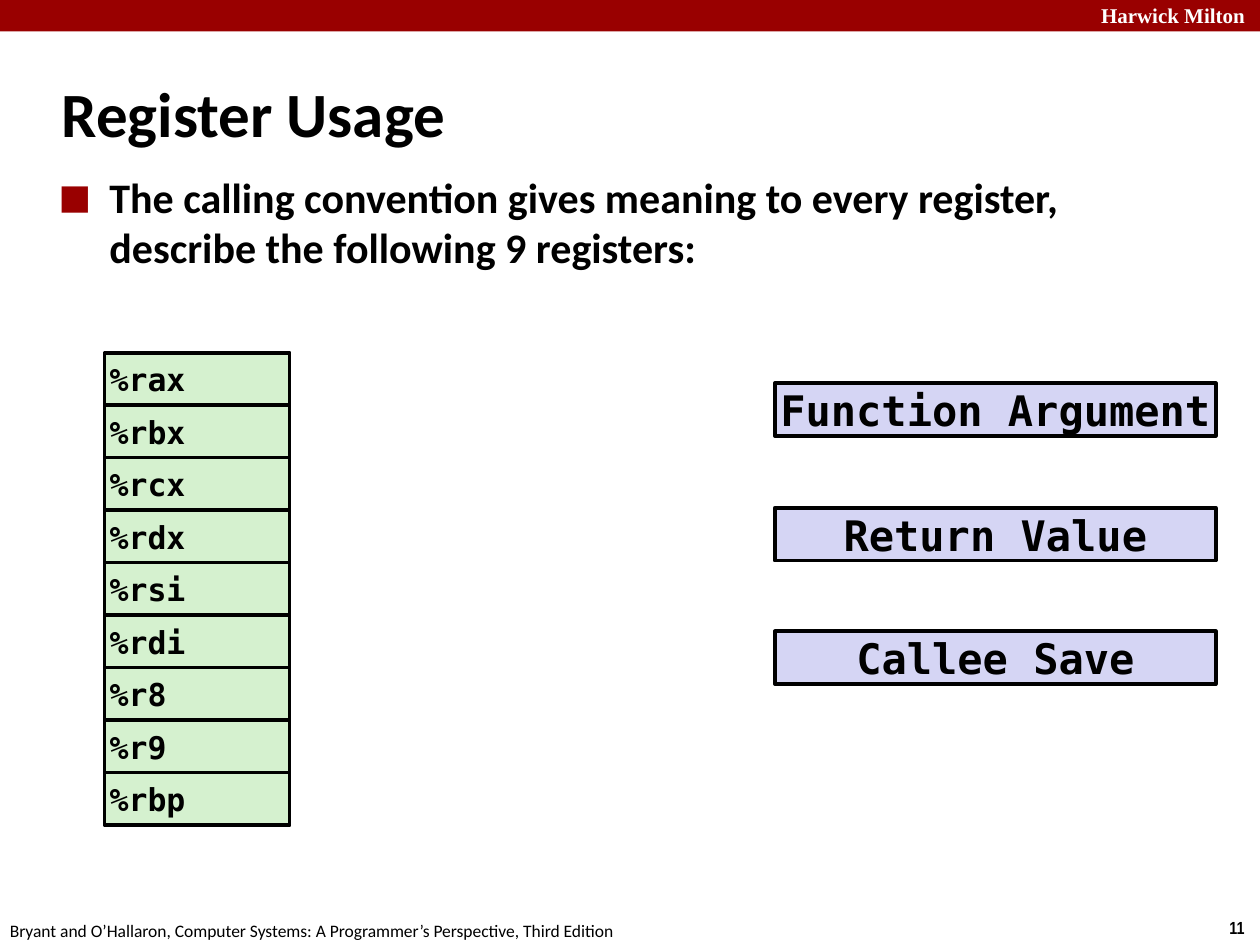
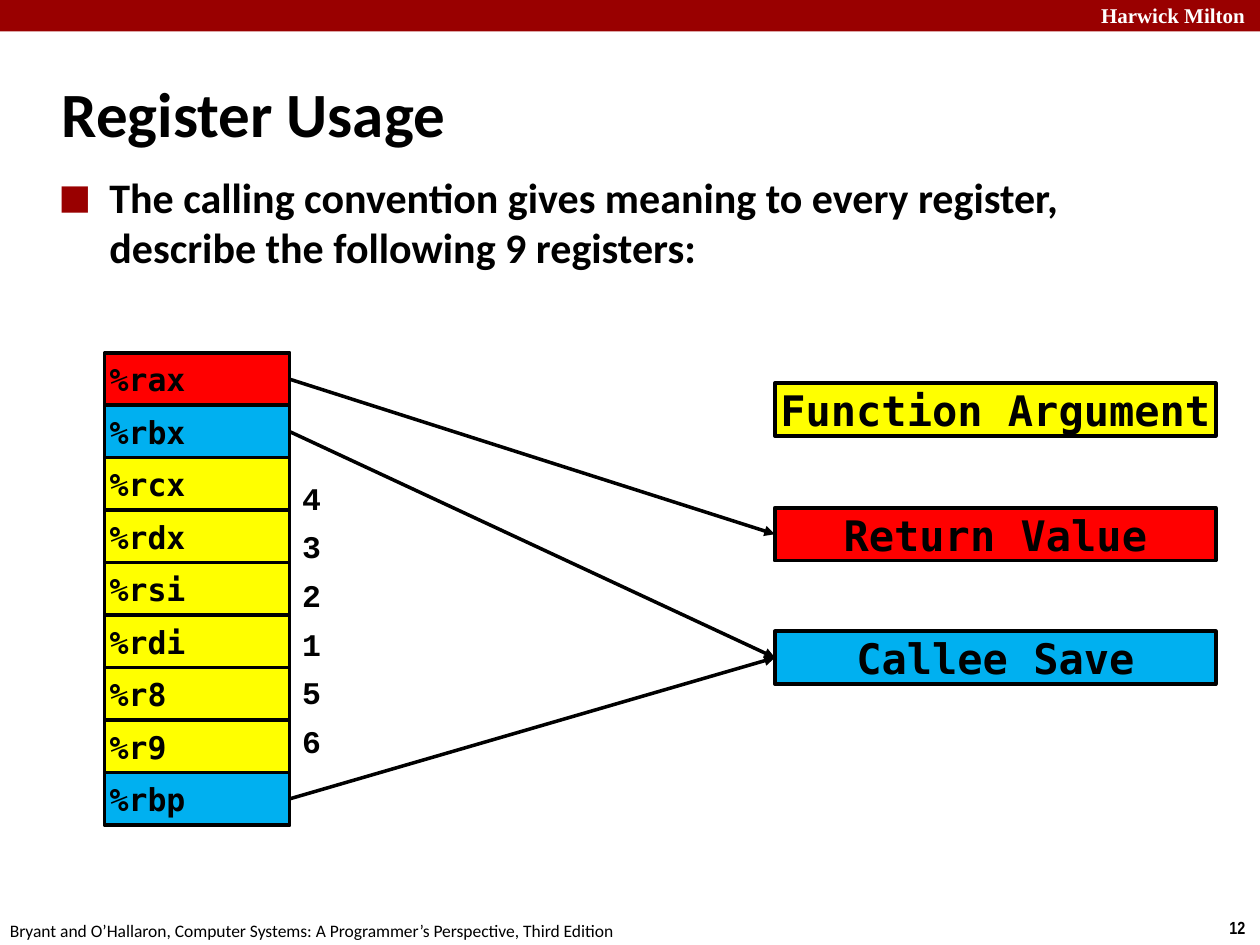
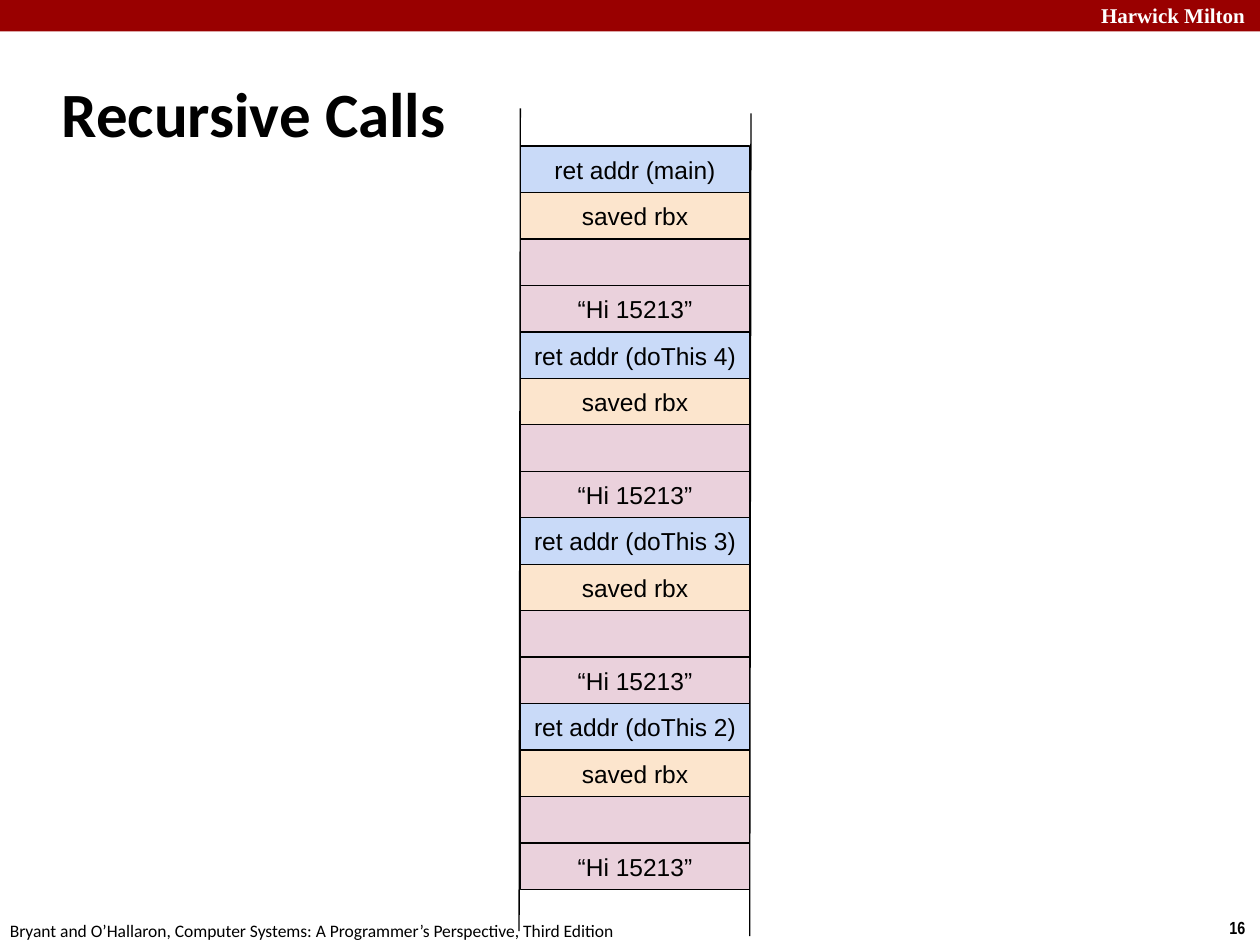
import pptx
import pptx.util
import pptx.dml.color
import pptx.enum.shapes
import pptx.enum.text
import pptx.oxml.ns
import lxml.etree

Inches = pptx.util.Inches
Pt = pptx.util.Pt
ALIGN = pptx.enum.text.PP_ALIGN
ANCHOR = pptx.enum.text.MSO_ANCHOR

COLORS = {
    "crimson": "990000", "white": "FFFFFF", "black": "000000",
    "register": "D5F1CF", "role": "D5D5F4",
    "argument": "FFFF00", "return": "FF0000", "callee": "00B0F0",
    "address": "C9DAF8", "saved": "FCE5CD", "buffer": "EAD1DC",
}
MONO = "DejaVu Sans Mono"
FOOTER = ("Bryant and O’Hallaron, Computer Systems: "
          "A Programmer’s Perspective, Third Edition")
QUESTION = ("The calling convention gives meaning to every register,\n"
            "describe the following 9 registers:")

REGISTERS = [("%rax", "return"), ("%rbx", "callee"), ("%rcx", "argument"),
             ("%rdx", "argument"), ("%rsi", "argument"), ("%rdi", "argument"),
             ("%r8", "argument"), ("%r9", "argument"), ("%rbp", "callee")]
REGISTER_LEFT, REGISTER_TOP, REGISTER_WIDTH = 0.83, 2.8, 1.47
REGISTER_PITCH = (6.13 - REGISTER_TOP) / (len(REGISTERS) - 1)
BOX_HEIGHT = 0.42

ROLES = {"argument": ("Function Argument", 3.04),
         "return": ("Return Value", 4.03),
         "callee": ("Callee Save", 5.01)}
ROLE_LEFT, ROLE_WIDTH = 6.15, 3.5
ARGUMENT_ORDER = "432156"

CALLERS = ["main", "doThis 4", "doThis 3", "doThis 2"]
STACK_LEFT, STACK_TOP, STACK_WIDTH, SLOT_HEIGHT = 4.13, 1.16, 1.82, 0.37
SLOT_PITCH = (6.69 - STACK_TOP) / (4 * len(CALLERS) - 1)


def rgb(color):
    return pptx.dml.color.RGBColor.from_string(COLORS[color])


def add_xml(parent, tag, **attributes):
    return lxml.etree.SubElement(parent, pptx.oxml.ns.qn(tag), **attributes)


def fill_text(frame, lines, size, font, color="black", bold=True,
              align=ALIGN.LEFT, anchor=ANCHOR.TOP, insets=(0.1, 0.05)):
    """Write one paragraph per line; insets are (horizontal, vertical)."""
    frame.word_wrap = True
    frame.vertical_anchor = anchor
    frame.margin_left = frame.margin_right = Inches(insets[0])
    frame.margin_top = frame.margin_bottom = Inches(insets[1])
    for index, line in enumerate(lines):
        paragraph = frame.add_paragraph() if index else frame.paragraphs[0]
        paragraph.text = line
        paragraph.alignment = align
        for run in paragraph.runs:
            run.font.size = Pt(size)
            run.font.name = font
            run.font.bold = bold
            run.font.color.rgb = rgb(color)


def add_text(slide, left, top, width, height, lines, size, font, **style):
    box = slide.shapes.add_textbox(
        Inches(left), Inches(top), Inches(width), Inches(height))
    fill_text(box.text_frame, lines, size, font, **style)
    return box.text_frame


def add_box(slide, left, top, width, height, fill, outline=None):
    box = slide.shapes.add_shape(
        pptx.enum.shapes.MSO_SHAPE.RECTANGLE,
        Inches(left), Inches(top), Inches(width), Inches(height))
    box.shadow.inherit = False
    box.fill.solid()
    box.fill.fore_color.rgb = rgb(fill)
    if outline:
        box.line.color.rgb = rgb("black")
        box.line.width = Pt(outline)
    else:
        box.line.fill.background()
    return box.text_frame


def add_line(slide, start, end, width, arrow=False):
    line = slide.shapes.add_connector(
        pptx.enum.shapes.MSO_CONNECTOR.STRAIGHT,
        *[Inches(value) for value in (*start, *end)])
    line.line.color.rgb = rgb("black")
    line.line.width = Pt(width)
    if arrow:
        add_xml(line.line._get_or_add_ln(), "a:tailEnd", type="triangle")
    add_xml(line._element.spPr, "a:effectLst")


def add_bullet(paragraph):
    """Hang the paragraph behind a crimson square."""
    properties = paragraph._p.get_or_add_pPr()
    properties.set("marL", str(Inches(0.38)))
    properties.set("indent", str(-Inches(0.38)))
    add_xml(add_xml(properties, "a:buClr"), "a:srgbClr",
            val=COLORS["crimson"])
    add_xml(properties, "a:buSzPct", val="105000")
    add_xml(properties, "a:buFont", typeface=MONO)
    add_xml(properties, "a:buChar", char="■")


def add_page(deck, title, number):
    """Add a slide with the band, footer, page number and title."""
    slide = deck.slides.add_slide(deck.slide_layouts[6])
    add_box(slide, 0, 0, 10, 0.25, "crimson")
    add_text(slide, 8.64, -0.03, 1.43, 0.3, ["Harwick Milton"], 12,
             "Times New Roman", color="white")
    add_text(slide, 9.66, 7.23, 0.34, 0.27, [str(number)], 10, "Arial Narrow")
    add_text(slide, -0.02, 7.25, 5.08, 0.27, [FOOTER], 10, "Calibri",
             bold=False)
    add_text(slide, 0.39, 0.48, 8.3, 0.83, [title], 36, "Calibri",
             anchor=ANCHOR.MIDDLE)
    return slide


def add_register_page(deck, number, solved):
    slide = add_page(deck, "Register Usage", number)
    question = add_text(slide, 0.39, 1.31, 8.64, 5.44, [QUESTION], 24,
                        "Calibri")
    add_bullet(question.paragraphs[0])
    for index, (register, role) in enumerate(REGISTERS):
        cell = add_box(slide, REGISTER_LEFT,
                       REGISTER_TOP + index * REGISTER_PITCH, REGISTER_WIDTH,
                       BOX_HEIGHT, role if solved else "register", 2)
        fill_text(cell, [register], 18, MONO, anchor=ANCHOR.MIDDLE,
                  insets=(0.04, 0.04))
    for role, (label, top) in ROLES.items():
        meaning = add_box(slide, ROLE_LEFT, top, ROLE_WIDTH, BOX_HEIGHT,
                          role if solved else "role", 2)
        fill_text(meaning, [label], 24, MONO, align=ALIGN.CENTER,
                  anchor=ANCHOR.MIDDLE, insets=(0, 0))
    if solved:
        add_answers(slide)


def add_answers(slide):
    """Link registers to their roles and number the argument registers."""
    right = REGISTER_LEFT + REGISTER_WIDTH
    for index, (_, role) in enumerate(REGISTERS):
        if role != "argument":
            middle = REGISTER_TOP + index * REGISTER_PITCH + BOX_HEIGHT / 2
            add_line(slide, (right, middle),
                     (ROLE_LEFT, ROLES[role][1] + BOX_HEIGHT / 2), 2,
                     arrow=True)
    order = add_text(slide, right, 3.75, 0.37, 2.34, ARGUMENT_ORDER, 18,
                     "Courier New")
    for index, position in enumerate(order.paragraphs):
        position.line_spacing = Pt(21.75)
        position.space_before = Pt(6 if index else 0)


def add_stack_page(deck, number):
    slide = add_page(deck, "Recursive Calls", number)
    add_line(slide, (4.13, 0.86), (4.12, 7.39), 0.75)
    slots = []
    for caller in CALLERS:
        slots += [(f"ret addr ({caller})", "address"), ("saved rbx", "saved"),
                  ("", "buffer"), ("“Hi 15213”", "buffer")]
    for index, (label, color) in enumerate(slots):
        slot = add_box(slide, STACK_LEFT, STACK_TOP + index * SLOT_PITCH,
                       STACK_WIDTH, SLOT_HEIGHT, color, 0.75)
        if label:
            fill_text(slot, [label], 14, "Arial", bold=False,
                      align=ALIGN.CENTER, anchor=ANCHOR.MIDDLE,
                      insets=(0.1, 0.1))
    add_line(slide, (5.96, 0.9), (5.95, 7.43), 0.75)


def main():
    deck = pptx.Presentation()
    deck.slide_width = Inches(10)
    deck.slide_height = Inches(7.5)
    add_register_page(deck, 11, solved=False)
    add_register_page(deck, 12, solved=True)
    add_stack_page(deck, 16)
    deck.save("out.pptx")


if __name__ == "__main__":
    main()
